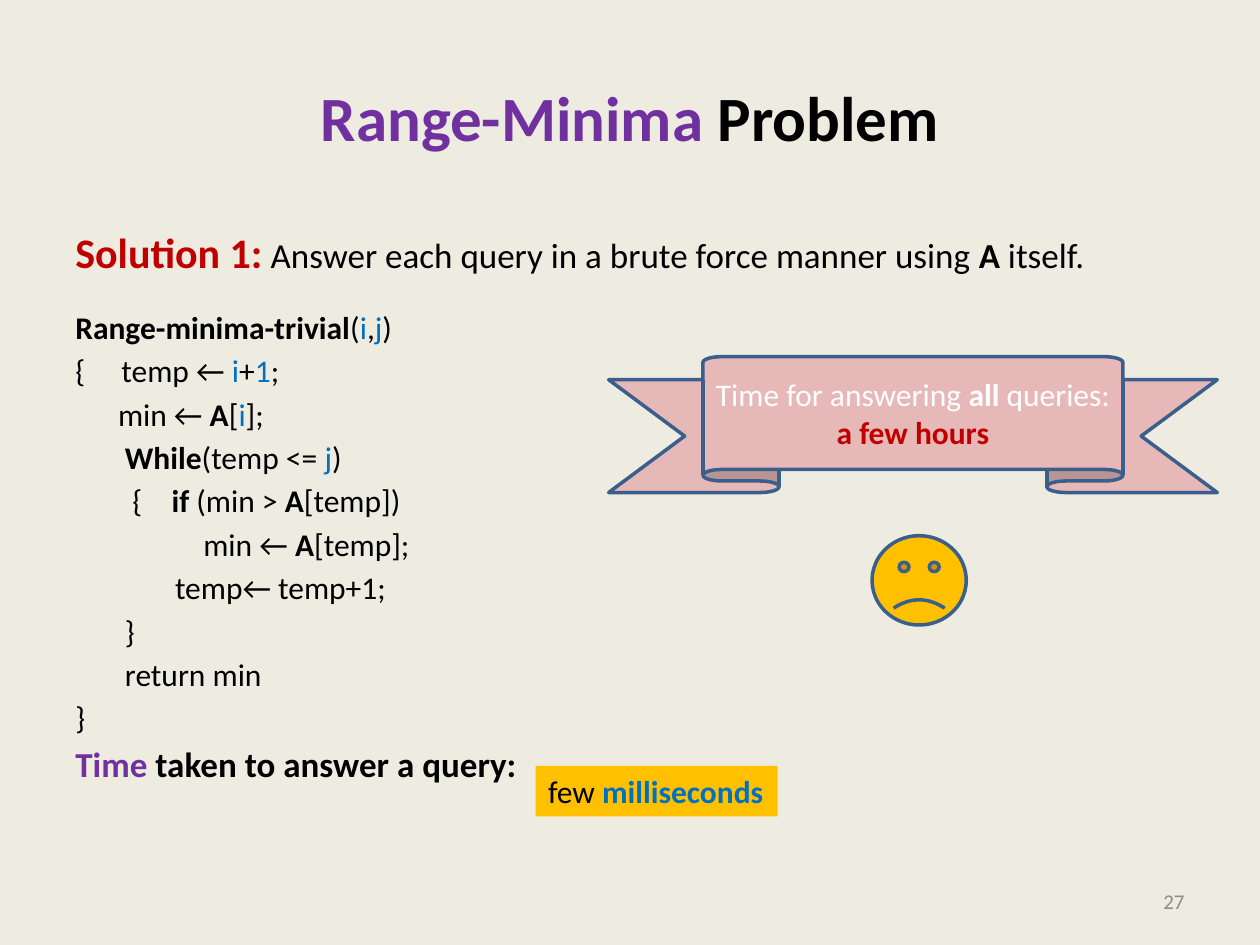
from pptx import Presentation
from pptx.dml.color import RGBColor
from pptx.enum.shapes import MSO_SHAPE
from pptx.enum.text import MSO_ANCHOR, PP_ALIGN
from pptx.util import Cm, Pt

COLORS = {
    "background": "EEECE1",
    "black": "000000",
    "white": "FFFFFF",
    "purple": "7030A0",
    "red": "C00000",
    "blue": "0070C0",
    "gray": "8C8C8C",
    "pink": "E6B9B8",
    "gold": "FFC000",
    "outline": "3A5F8C",
}
FONT = "Calibri"
LEFT, WIDTH = 1.27, 22.86

CODE = [
    (0, 0, [("Range-minima-trivial", "b"), "(", ("i", "v"), ",", ("j", "v"), ")"]),
    (0, 0.93, ["{\ttemp ← ", ("i", "v"), "+", ("1", "v"), ";"]),
    (0.86, 0.86, ["min ← ", ("A", "b"), "[", ("i", "v"), "];"]),
    (1, 1, [("While", "b"), "(temp <= ", ("j", "v"), ")"]),
    (1.15, 1.94, ["{\t", ("if", "b"), " (min > ", ("A", "b"), "[temp])"]),
    (2.58, 2.58, ["min ← ", ("A", "b"), "[temp];"]),
    (2.01, 2.01, ["temp← temp+1;"]),
    (1, 1, ["}"]),
    (1, 1, ["return min"]),
    (0, 0, ["}"]),
]
CODE_STYLES = {"b": {"bold": True}, "v": {"color": "blue"}}


def rgb(name):
    return RGBColor.from_string(COLORS[name])


def add_run(p, text, size=18, color="black", bold=False):
    r = p.add_run()
    r.text = text
    r.font.name = FONT
    r.font.size = Pt(size)
    r.font.bold = bold
    r.font.color.rgb = rgb(color)


def add_paragraph(tf, before=0, align=PP_ALIGN.LEFT, start=0, margin=0):
    p = tf.paragraphs[0]
    if p.runs:
        p = tf.add_paragraph()
    p.alignment = align
    p.space_before = Pt(before)
    pPr = p._p.get_or_add_pPr()
    pPr.set("marL", str(Cm(margin)))
    pPr.set("indent", str(Cm(start) - Cm(margin)))
    return p


def add_text_box(s, x, y, w, h, anchor=MSO_ANCHOR.TOP):
    tf = s.shapes.add_textbox(Cm(x), Cm(y), Cm(w), Cm(h)).text_frame
    tf.word_wrap = True
    tf.vertical_anchor = anchor
    return tf


def add_figure(s, kind, x, y, w, h, fill, adjustments=(), line=None):
    sp = s.shapes.add_shape(kind, Cm(x), Cm(y), Cm(w), Cm(h))
    sp.shadow.inherit = False
    sp.fill.solid()
    sp.fill.fore_color.rgb = rgb(fill)
    if line:
        sp.line.color.rgb = rgb(line)
        sp.line.width = Pt(2)
    else:
        sp.line.fill.background()
    for i, value in enumerate(adjustments):
        sp.adjustments[i] = value
    return sp


def add_title(s):
    tf = add_text_box(s, LEFT, 0.76, WIDTH, 3.18, MSO_ANCHOR.MIDDLE)
    p = add_paragraph(tf, align=PP_ALIGN.CENTER)
    add_run(p, "Range-Minima", size=36, color="purple", bold=True)
    add_run(p, " Problem", size=36, bold=True)


def add_body(s):
    tf = add_text_box(s, LEFT, 4.45, WIDTH, 12.57)
    p = add_paragraph(tf)
    add_run(p, "Solution 1:", size=24, color="red", bold=True)
    add_run(p, " Answer each query in a brute force manner using ", size=20)
    add_run(p, "A", size=20, bold=True)
    add_run(p, " itself.", size=20)
    for i, (start, margin, parts) in enumerate(CODE):
        p = add_paragraph(tf, before=3.2 if i else 17.4, start=start, margin=margin)
        for part in parts:
            text, style = (part, None) if isinstance(part, str) else part
            add_run(p, text, **CODE_STYLES.get(style, {}))
    p = add_paragraph(tf, before=3.6)
    add_run(p, "Time ", size=20, color="purple", bold=True)
    add_run(p, "taken to answer a query:", size=20, bold=True)


def add_banner(s):
    sp = add_figure(s, MSO_SHAPE.UP_RIBBON, 12.27, 7.19, 12.27, 2.74, "pink",
                    (0.17, 0.69), "outline")
    tf = sp.text_frame
    tf.word_wrap = True
    tf.margin_left = tf.margin_right = Cm(0.2)
    tf.vertical_anchor = MSO_ANCHOR.MIDDLE
    p = add_paragraph(tf, align=PP_ALIGN.CENTER)
    add_run(p, "Time for answering ", color="white")
    add_run(p, "all", color="white", bold=True)
    add_run(p, " queries: ", color="white")
    add_run(p, "a few hours", color="red", bold=True)


def add_answer(s):
    sp = add_figure(s, MSO_SHAPE.RECTANGLE, 10.8, 15.44, 4.88, 1.02, "gold")
    tf = sp.text_frame
    tf.word_wrap = False
    tf.vertical_anchor = MSO_ANCHOR.TOP
    p = add_paragraph(tf)
    add_run(p, "few ")
    add_run(p, "milliseconds", color="blue", bold=True)


def add_page_number(s):
    tf = add_text_box(s, 18.21, 17.65, 5.92, 1.02, MSO_ANCHOR.MIDDLE)
    add_run(add_paragraph(tf, align=PP_ALIGN.RIGHT), "27", size=12, color="gray")


def main():
    prs = Presentation()
    prs.slide_width, prs.slide_height = Cm(25.4), Cm(19.05)
    s = prs.slides.add_slide(prs.slide_layouts[6])
    s.background.fill.solid()
    s.background.fill.fore_color.rgb = rgb("background")
    add_title(s)
    add_body(s)
    add_page_number(s)
    add_banner(s)
    add_answer(s)
    add_figure(s, MSO_SHAPE.SMILEY_FACE, 17.58, 10.8, 1.9, 1.8, "gold",
               (-0.05,), "outline")
    prs.save("out.pptx")


if __name__ == "__main__":
    main()
